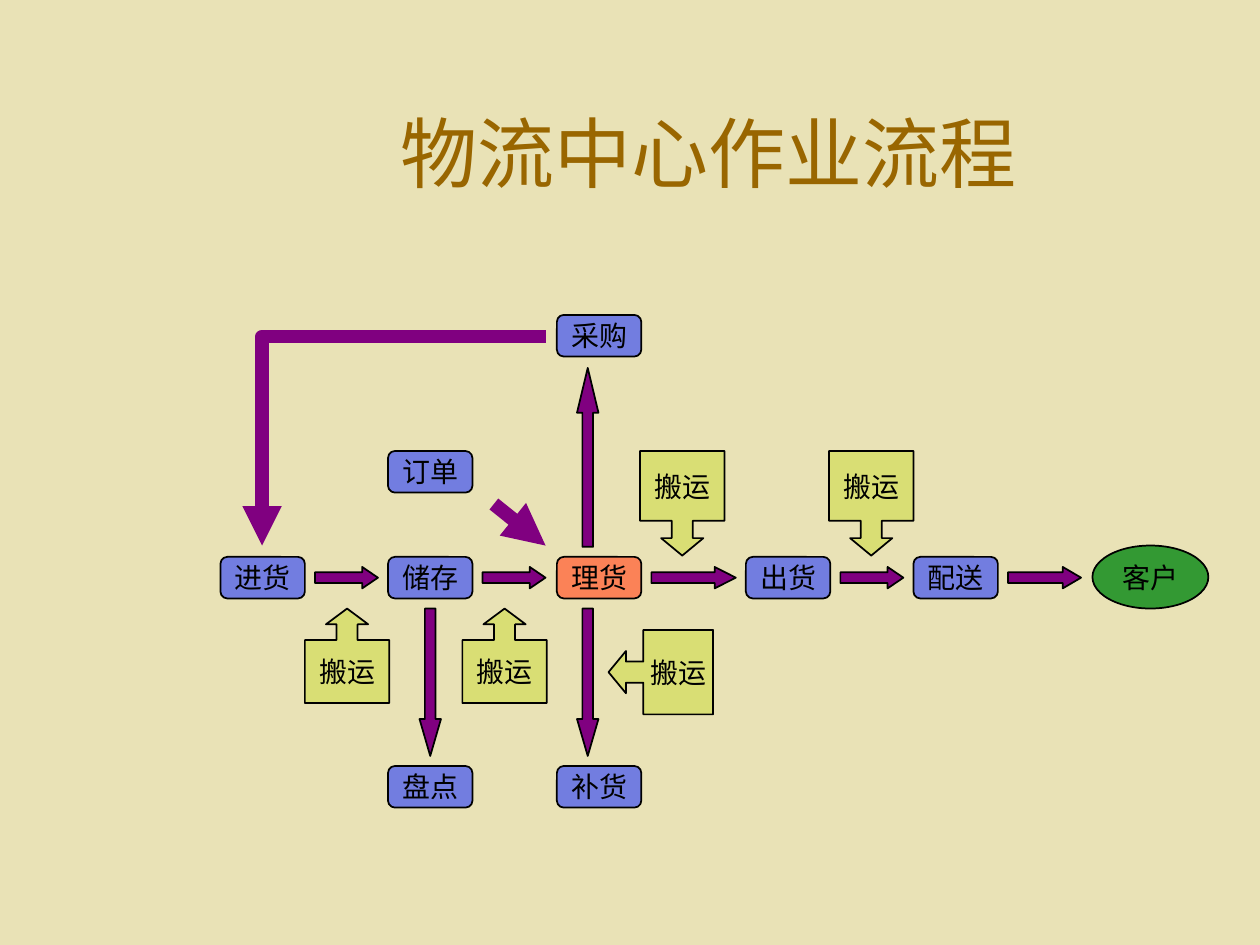
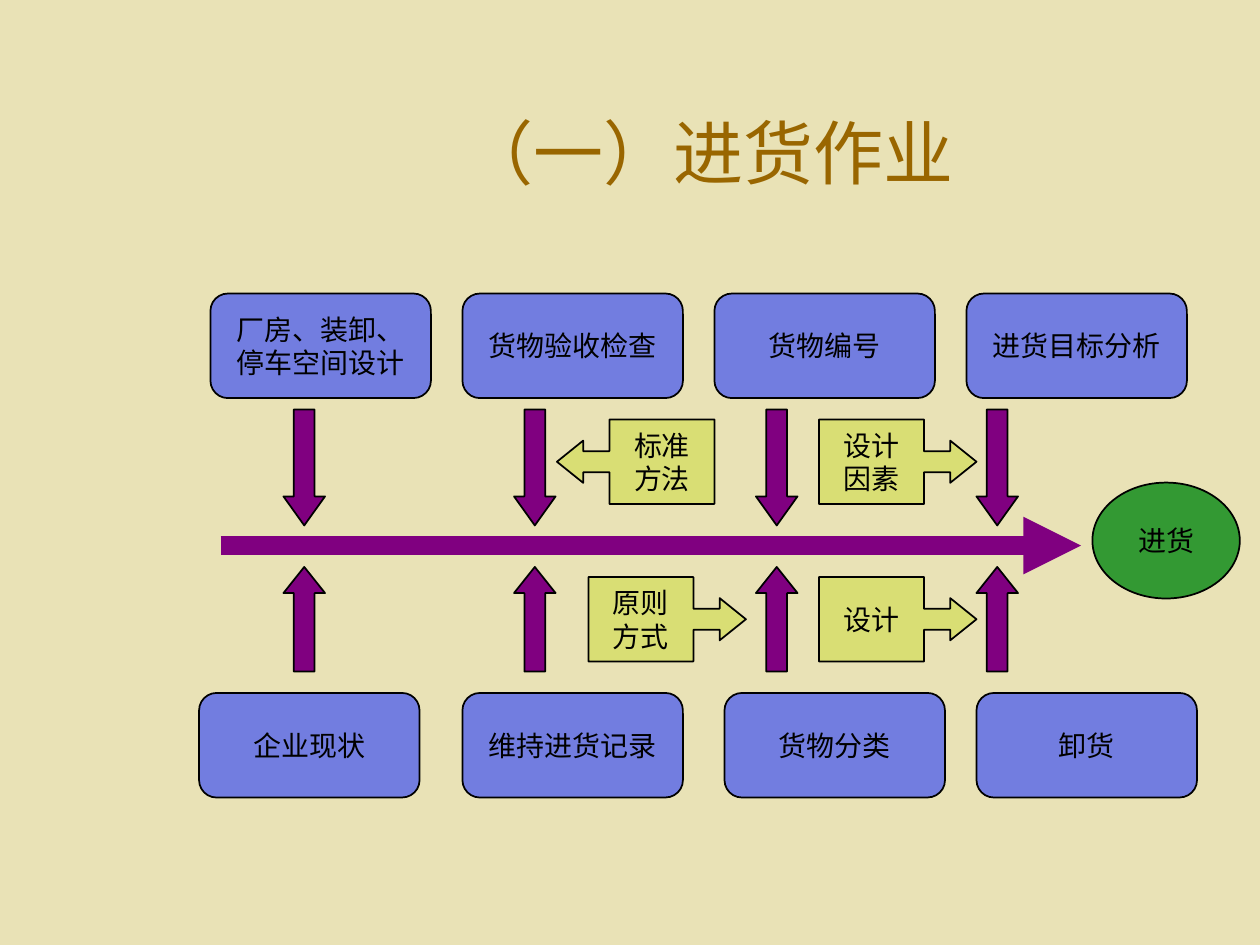
from typing import NamedTuple

from lxml import etree
from pptx import Presentation
from pptx.dml.color import RGBColor
from pptx.enum import shapes, text
from pptx.oxml import ns
from pptx.util import Inches, Pt

SAND = RGBColor(0xE9, 0xE2, 0xB6)
BROWN = RGBColor(0x99, 0x66, 0x00)
BLUE = RGBColor(0x72, 0x7D, 0xE0)
ORANGE = RGBColor(0xFB, 0x82, 0x57)
GREEN = RGBColor(0x33, 0x99, 0x33)
LIME = RGBColor(0xD9, 0xDE, 0x74)
PURPLE = RGBColor(0x80, 0x00, 0x80)
BLACK = RGBColor(0x00, 0x00, 0x00)
FONT = "Times New Roman"
KIND = shapes.MSO_SHAPE

ARROWS = {"up": KIND.UP_ARROW, "down": KIND.DOWN_ARROW, "right": KIND.RIGHT_ARROW}
CALLOUTS = {
    "up": KIND.UP_ARROW_CALLOUT,
    "down": KIND.DOWN_ARROW_CALLOUT,
    "left": KIND.LEFT_ARROW_CALLOUT,
    "right": KIND.RIGHT_ARROW_CALLOUT,
}


class Frame(NamedTuple):
    left: float
    top: float
    width: float
    height: float


class Step(NamedTuple):
    label: str
    left: float
    top: float
    fill: RGBColor = BLUE


class Callout(NamedTuple):
    label: str
    direction: str
    frame: Frame


class Arrow(NamedTuple):
    direction: str
    frame: Frame


def write(text_frame, label: str, *, size: float, color: RGBColor, wrap: bool) -> None:
    """Write one centred paragraph for each line of the label."""
    text_frame.word_wrap = wrap
    text_frame.auto_size = text.MSO_AUTO_SIZE.NONE
    text_frame.vertical_anchor = text.MSO_ANCHOR.MIDDLE
    text_frame.text = label
    for para in text_frame.paragraphs:
        para.alignment = text.PP_ALIGN.CENTER
        for span in para.runs:
            span.font.name = FONT
            span.font.size = Pt(size)
            span.font.color.rgb = color


def add_page(deck, title: str, size: float):
    page = deck.slides.add_slide(deck.slide_layouts[5])
    box = page.shapes.title
    box.left, box.top = Inches(1.5), Inches(0.58)
    box.width, box.height = Inches(8.25), Inches(1.25)
    write(box.text_frame, title, size=size, color=BROWN, wrap=True)
    return page


def add_figure(page, kind, frame: Frame, fill: RGBColor, label: str = ""):
    figure = page.shapes.add_shape(kind, *map(Inches, frame))
    figure.shadow.inherit = False
    figure.fill.solid()
    figure.fill.fore_color.rgb = fill
    figure.line.color.rgb = BLACK
    figure.line.width = Pt(1)
    if label:
        write(figure.text_frame, label, size=16, color=BLACK, wrap=False)
    return figure


def add_step(page, step: Step, width: float, height: float) -> None:
    frame = Frame(step.left, step.top, width, height)
    add_figure(page, KIND.ROUNDED_RECTANGLE, frame, step.fill, step.label)


def add_arrow(page, arrow: Arrow) -> None:
    """Draw a block arrow whose head takes a quarter of its length."""
    figure = add_figure(page, ARROWS[arrow.direction], arrow.frame, PURPLE)
    thickness, length = sorted(arrow.frame[2:])
    figure.adjustments[1] = length / 4 / thickness


def add_callout(page, callout: Callout) -> None:
    """Draw an arrow callout whose head takes a sixth of its length."""
    figure = add_figure(page, CALLOUTS[callout.direction], callout.frame, LIME, callout.label)
    thickness, length = sorted(callout.frame[2:])
    for index, value in enumerate((0.25, 0.25, length / 6 / thickness, 2 / 3)):
        figure.adjustments[index] = value


def add_line(page, start: tuple[float, float], end: tuple[float, float],
             width: float, bent: bool = False) -> None:
    """Draw a line with an arrowhead; a bent one runs across, then down."""
    kind = shapes.MSO_CONNECTOR.ELBOW if bent else shapes.MSO_CONNECTOR.STRAIGHT
    line = page.shapes.add_connector(kind, *map(Inches, start + end))
    line.line.color.rgb = PURPLE
    line.line.width = Pt(width)
    properties = line._element.spPr
    if bent:
        properties.find(ns.qn("a:prstGeom")).set("prst", "bentConnector2")
    outline = properties.find(ns.qn("a:ln"))
    etree.SubElement(outline, ns.qn("a:tailEnd"), type="triangle")
    etree.SubElement(properties, ns.qn("a:effectLst"))


def build_process_page(deck) -> None:
    page = add_page(deck, "物流中心作业流程", 44)
    main_row, low_row = 4.42, 6.08
    steps = [
        Step("进货", 1.75, main_row),
        Step("储存", 3.08, main_row),
        Step("理货", 4.42, main_row, ORANGE),
        Step("出货", 5.92, main_row),
        Step("配送", 7.25, main_row),
        Step("订单", 3.08, 3.58),
        Step("采购", 4.42, 2.5),
        Step("盘点", 3.08, low_row),
        Step("补货", 4.42, low_row),
    ]
    for step in steps:
        add_step(page, step, 0.67, 0.33)
    add_figure(page, KIND.OVAL, Frame(8.67, 4.33, 0.92, 0.5), GREEN, "客户")

    handling = [
        ("up", Frame(2.42, 4.83, 0.67, 0.75)),
        ("up", Frame(3.67, 4.83, 0.67, 0.75)),
        ("left", Frame(4.83, 5, 0.83, 0.67)),
        ("down", Frame(5.08, 3.58, 0.67, 0.83)),
        ("down", Frame(6.58, 3.58, 0.67, 0.83)),
    ]
    for direction, frame in handling:
        add_callout(page, Callout("搬运", direction, frame))

    for left, length in ((2.5, 0.5), (3.83, 0.5), (5.17, 0.67), (6.67, 0.5), (8, 0.58)):
        add_arrow(page, Arrow("right", Frame(left, 4.5, length, 0.17)))
    for left in (3.33, 4.58):
        add_arrow(page, Arrow("down", Frame(left, 4.83, 0.17, 1.17)))
    add_arrow(page, Arrow("up", Frame(4.58, 2.92, 0.17, 1.42)))

    add_line(page, (4.33, 2.67), (2.08, 4.33), 7.5, bent=True)
    add_line(page, (3.92, 4), (4.33, 4.33), 8)


def build_receiving_page(deck) -> None:
    page = add_page(deck, "（一）进货作业", 40)
    top_row, low_row = 2.33, 5.5
    steps = [
        Step("厂房、装卸、\n停车空间设计", 1.67, top_row),
        Step("货物验收检查", 3.67, top_row),
        Step("货物编号", 5.67, top_row),
        Step("进货目标分析", 7.67, top_row),
        Step("企业现状", 1.58, low_row),
        Step("维持进货记录", 3.67, low_row),
        Step("货物分类", 5.75, low_row),
        Step("卸货", 7.75, low_row),
    ]
    for step in steps:
        add_step(page, step, 1.75, 0.83)
    add_figure(page, KIND.OVAL, Frame(8.67, 3.83, 1.17, 0.92), GREEN, "进货")

    add_line(page, (1.75, 4.33), (8.58, 4.33), 11)
    for left in (2.25, 4.08, 6, 7.75):
        add_arrow(page, Arrow("down", Frame(left, 3.25, 0.33, 0.92)))
        add_arrow(page, Arrow("up", Frame(left, 4.5, 0.33, 0.83)))

    notes = [
        ("标准\n方法", "left", 4.42, 3.33),
        ("设计\n因素", "right", 6.5, 3.33),
        ("原则\n方式", "right", 4.67, 4.58),
        ("设计", "right", 6.5, 4.58),
    ]
    for label, direction, left, top in notes:
        add_callout(page, Callout(label, direction, Frame(left, top, 1.25, 0.67)))


def main() -> None:
    deck = Presentation()
    deck.slide_width, deck.slide_height = Inches(10), Inches(7.5)
    background = deck.slide_master.background.fill
    background.solid()
    background.fore_color.rgb = SAND
    build_process_page(deck)
    build_receiving_page(deck)
    deck.save("out.pptx")


if __name__ == "__main__":
    main()
